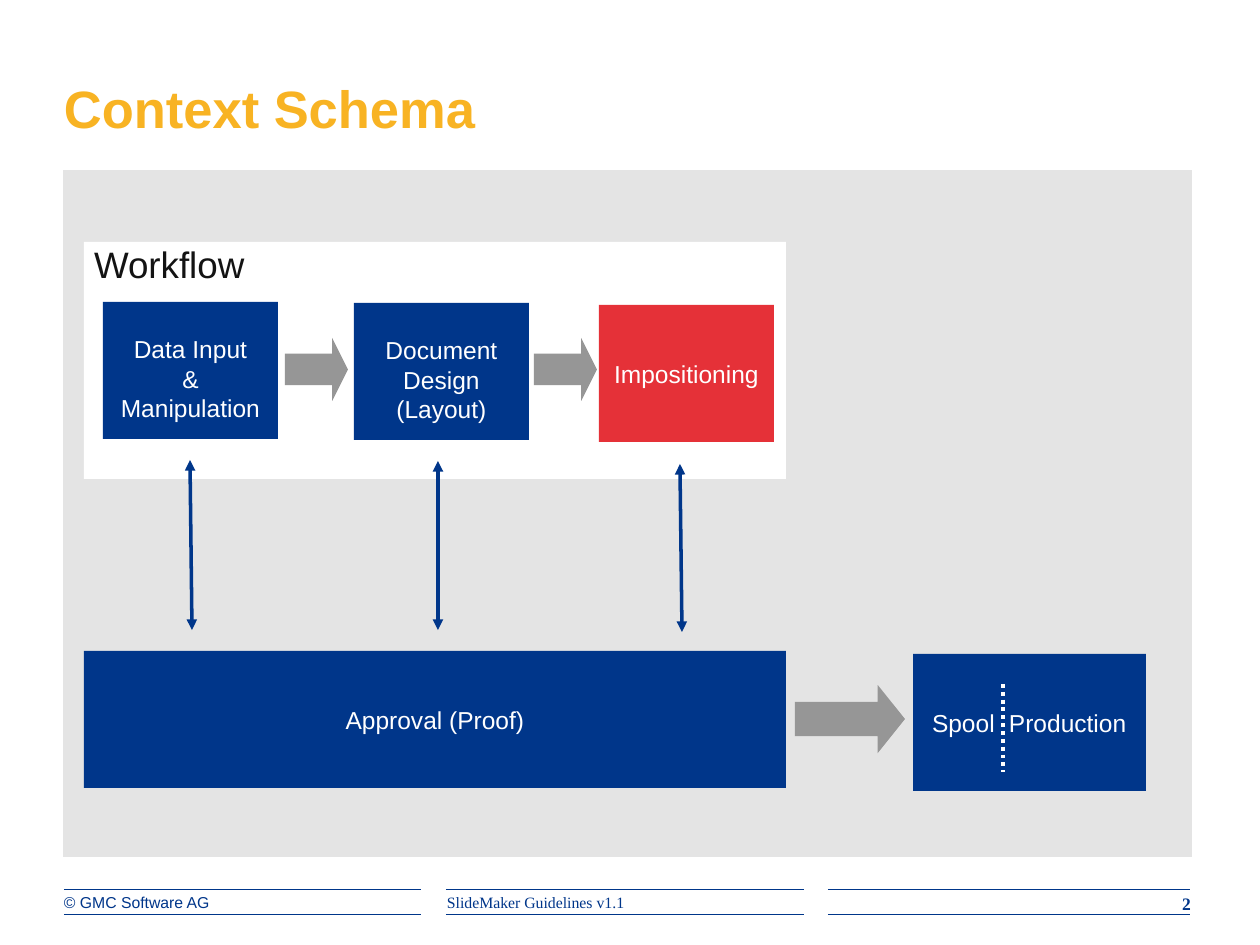
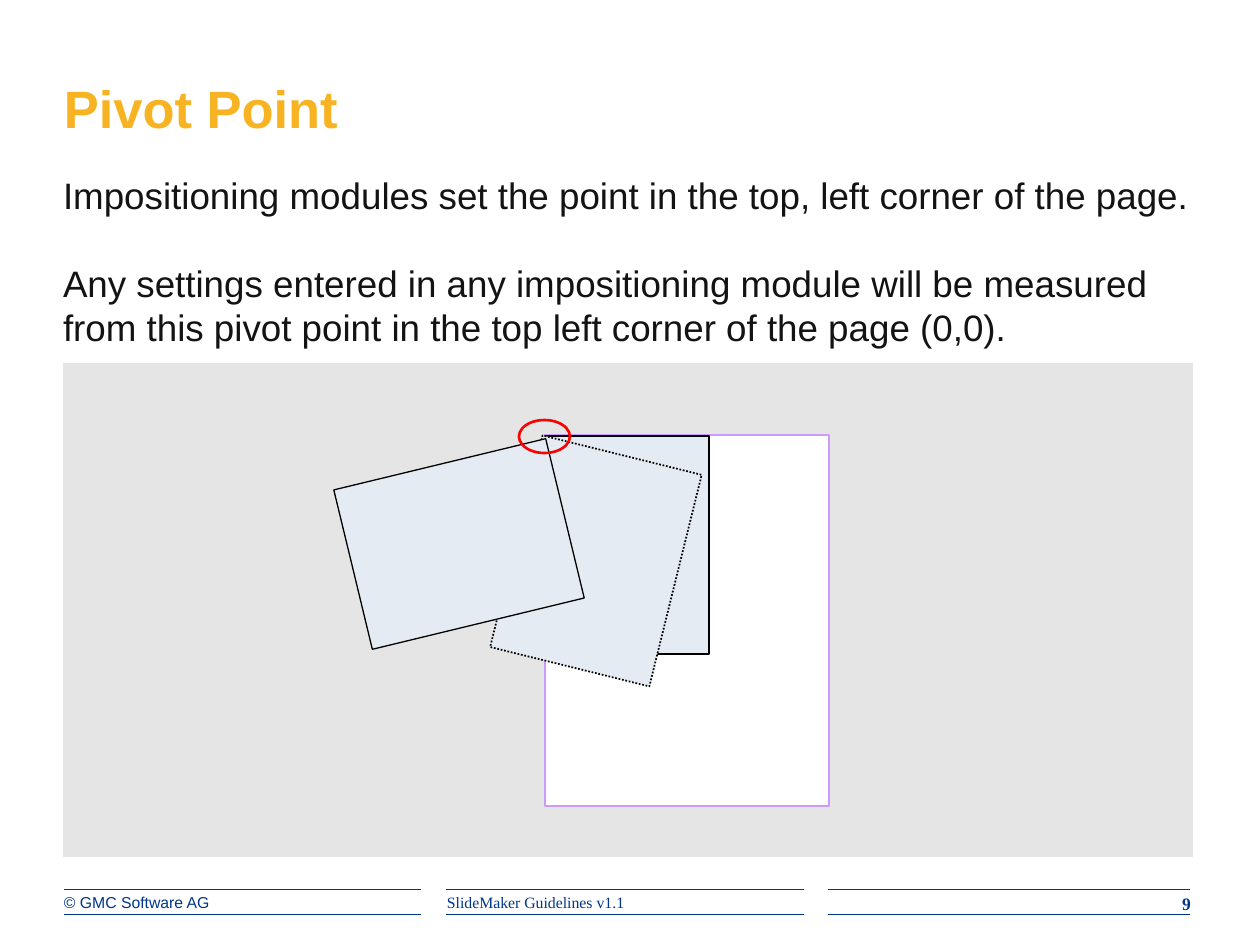
from lxml.etree import SubElement
from pptx import Presentation
from pptx.dml.color import RGBColor
from pptx.enum.dml import MSO_LINE
from pptx.enum.shapes import MSO_CONNECTOR, MSO_SHAPE
from pptx.enum.text import MSO_ANCHOR, MSO_AUTO_SIZE, PP_ALIGN
from pptx.oxml.ns import qn
from pptx.util import Emu, Pt

BLUE, RED, YELLOW, GREY = "00368A", "E53138", "F8B323", "969696"
WHITE, BLACK, INK, PAGE = "FFFFFF", "000000", "131313", "E5EBF3"
SANS, SERIF = "Arial", "Times New Roman"

TITLE_BOX = (64, 53, 859, 86)
FOOTER_COLUMNS = [(64, 421), (446, 804), (828, 1190)]
FOOTER_RULES = (889, 914)
COPYRIGHT = "© GMC Software AG"
DOCUMENT = "SlideMaker Guidelines v1.1"

BOX_WIDTH, BOX_HEIGHT = 175, 137
WORKFLOW_STEPS = [
    ("Data Input\n&\nManipulation", 103, 302, BLUE, 22),
    ("Document\nDesign\n(Layout)", 354, 303, BLUE, 22),
    ("Impositioning", 599, 305, RED, 6),
]
STEP_ARROWS = [285, 534]
PROOF_ARROWS = [((192, 630), (190, 460)), ((438, 630), (438, 461)), ((682, 632), (680, 464))]

PIVOT_TEXT = (
    "Impositioning modules set the point in the top, left corner of the page.\n"
    "Any settings entered in any impositioning module will be measured "
    "from this pivot point in the top left corner of the page (0,0)."
)
PAGE_WIDTH, PAGE_HEIGHT = 164, 218
TURNED_PAGES = [
    (545, 436, 0, 0.75, None),
    (514, 452, 13.9, 1, MSO_LINE.ROUND_DOT),
    (377, 435, 76.4, 0.75, None),
]


def px(value):
    return Emu(round(value * 914400 / 126))


def color(code):
    return RGBColor.from_string(code)


def place(shape, left, top, width, height):
    shape.left, shape.top, shape.width, shape.height = map(px, (left, top, width, height))


def write(shape, text, size=14, ink=WHITE, font=SANS, bold=False, align=PP_ALIGN.LEFT,
          anchor=MSO_ANCHOR.TOP, insets=(0, 0, 0, 0), gap=0):
    frame = shape.text_frame
    frame.text = text
    frame.word_wrap = True
    frame.auto_size = MSO_AUTO_SIZE.NONE
    frame.vertical_anchor = anchor
    frame.margin_left, frame.margin_top, frame.margin_right, frame.margin_bottom = map(px, insets)
    for index, paragraph in enumerate(frame.paragraphs):
        properties = paragraph._p.get_or_add_pPr()
        properties.set("marL", "0")
        properties.set("indent", "0")
        SubElement(properties, qn("a:buNone"))
        paragraph.alignment = align
        paragraph.space_before = Pt(gap if index else 0)
        for run in paragraph.runs:
            run.font.name, run.font.size, run.font.bold = font, Pt(size), bold
            run.font.color.rgb = color(ink)


def add_label(slide, box, text, ink=BLUE, **style):
    label = slide.shapes.add_textbox(0, 0, 0, 0)
    place(label, *box)
    write(label, text, ink=ink, **style)


def add_block(slide, box, fill=None, kind=MSO_SHAPE.RECTANGLE, line=None, width=1, dash=None):
    block = slide.shapes.add_shape(kind, 0, 0, 0, 0)
    place(block, *box)
    block.shadow.inherit = False
    if fill:
        block.fill.solid()
        block.fill.fore_color.rgb = color(fill)
    else:
        block.fill.background()
    if line:
        block.line.color.rgb = color(line)
        block.line.width = Pt(width)
        if dash:
            block.line.dash_style = dash
    else:
        block.line.fill.background()
    return block


def add_text_block(slide, box, text, fill=BLUE, top=6, left=6, align=PP_ALIGN.CENTER):
    block = add_block(slide, box, fill)
    write(block, text, align=align, anchor=MSO_ANCHOR.MIDDLE, insets=(left, top, 6, 6))


def add_arrow(slide, box, head):
    arrow = add_block(slide, box, GREY, MSO_SHAPE.RIGHT_ARROW)
    arrow.adjustments[1] = head


def add_line(slide, start, end, ink=BLUE, width=0.5, dash=None, heads=False):
    line = slide.shapes.add_connector(MSO_CONNECTOR.STRAIGHT, *map(px, start + end))
    line.line.color.rgb = color(ink)
    line.line.width = Pt(width)
    if dash:
        line.line.dash_style = dash
    if heads:
        outline = line.line._get_or_add_ln()
        for name in ("a:headEnd", "a:tailEnd"):
            SubElement(outline, qn(name), type="triangle")
    SubElement(line.element.spPr, qn("a:effectLst"))


def send_back(*shapes):
    for position, shape in enumerate(shapes, 2):
        shape.element.getparent().insert(position, shape.element)


def add_slide(presentation, title, number):
    slide = presentation.slides.add_slide(presentation.slide_layouts[1])
    place(slide.shapes.title, *TITLE_BOX)
    write(slide.shapes.title, title, size=30, ink=YELLOW, bold=True, anchor=MSO_ANCHOR.BOTTOM)
    for left, right in FOOTER_COLUMNS:
        for y in FOOTER_RULES:
            add_line(slide, (left, y), (right, y))
    add_label(slide, (64, 893, 354, 25), COPYRIGHT, size=9)
    add_label(slide, (447, 893, 355, 28), DOCUMENT, size=9, font=SERIF)
    add_label(slide, (1091, 893, 100, 25), number, size=10, font=SERIF, bold=True,
              align=PP_ALIGN.RIGHT)
    return slide, slide.placeholders[1]


def build_context_slide(presentation):
    slide, workflow = add_slide(presentation, "Context Schema", "2")
    send_back(add_block(slide, (63, 170, 1129, 687), "E4E4E4"))
    place(workflow, 84, 242, 702, 237)
    workflow.fill.solid()
    workflow.fill.fore_color.rgb = color(WHITE)
    write(workflow, "Workflow", size=21, ink=INK, insets=(10, 0, 0, 0))

    for text, left, top, fill, inset in WORKFLOW_STEPS:
        add_text_block(slide, (left, top, BOX_WIDTH, BOX_HEIGHT), text, fill, inset)
    add_text_block(slide, (84, 651, 702, BOX_HEIGHT), "Approval (Proof)")
    add_text_block(slide, (913, 654, 233, BOX_HEIGHT), "Spool", left=19, align=PP_ALIGN.LEFT)
    add_label(slide, (1009, 654, 130, BOX_HEIGHT), "Production", ink=WHITE,
              anchor=MSO_ANCHOR.MIDDLE)
    add_line(slide, (1003, 684), (1003, 772), WHITE, 2.25, MSO_LINE.ROUND_DOT)

    add_arrow(slide, (795, 685, 110, 68), 0.4)
    for left in STEP_ARROWS:
        add_arrow(slide, (left, 338, 63, 63), 0.25)
    for start, end in PROOF_ARROWS:
        add_line(slide, start, end, width=2, heads=True)


def build_pivot_slide(presentation):
    slide, body = add_slide(presentation, "Pivot Point", "9")
    panel = add_block(slide, (63, 363, 1130, 494), "E5E5E5")
    sheet = add_block(slide, (545, 435, 284, 371), WHITE, line="CC99FF")
    send_back(panel, sheet)
    place(body, 63, 173, 1128, 684)
    write(body, PIVOT_TEXT, size=21, ink=INK, gap=25)

    for left, top, angle, width, dash in TURNED_PAGES:
        page = add_block(slide, (left, top, PAGE_WIDTH, PAGE_HEIGHT), PAGE,
                         line=BLACK, width=width, dash=dash)
        page.rotation = angle
    add_block(slide, (519, 420, 51, 33), kind=MSO_SHAPE.OVAL, line="FF0000", width=1.5)


def main():
    presentation = Presentation()
    presentation.slide_width, presentation.slide_height = px(1260), px(945)
    build_context_slide(presentation)
    build_pivot_slide(presentation)
    presentation.save("out.pptx")


if __name__ == "__main__":
    main()
